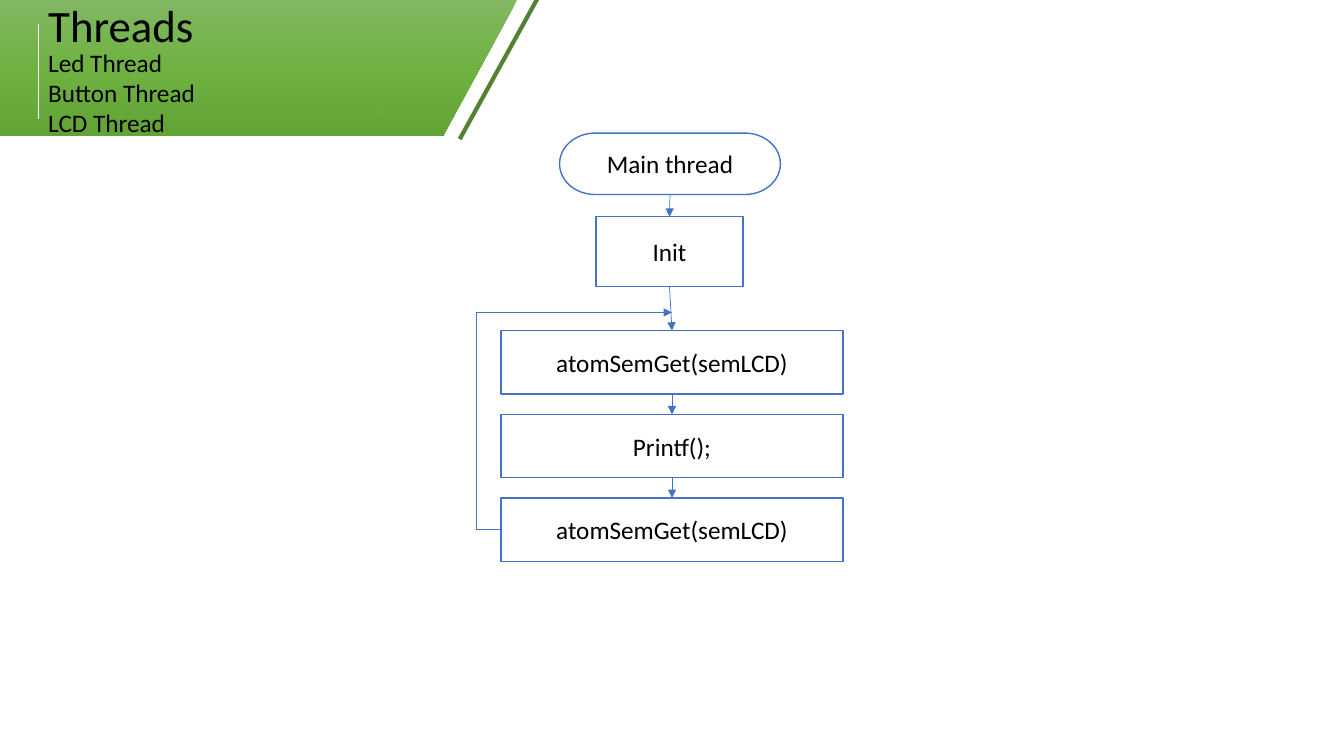
from copy import deepcopy
from dataclasses import dataclass

from pptx import Presentation
from pptx.dml.color import RGBColor
from pptx.enum.shapes import MSO_CONNECTOR, MSO_SHAPE
from pptx.enum.text import MSO_ANCHOR, PP_ALIGN
from pptx.oxml.ns import qn
from pptx.shapes.autoshape import Shape
from pptx.shapes.connector import Connector
from pptx.slide import Slide
from pptx.text.text import TextFrame
from pptx.util import Inches, Pt
from lxml import etree

RECTANGLE = MSO_SHAPE.RECTANGLE
PARALLELOGRAM = MSO_SHAPE.PARALLELOGRAM
TERMINATOR = MSO_SHAPE.FLOWCHART_TERMINATOR
STRAIGHT = MSO_CONNECTOR.STRAIGHT
ELBOW = MSO_CONNECTOR.ELBOW
CENTER = PP_ALIGN.CENTER
MIDDLE = MSO_ANCHOR.MIDDLE
TOP_SITE, BOTTOM_SITE = 0, 2

FONT = "Calibri"
BLACK, WHITE, BLUE, DARK_GREEN = "000000", "FFFFFF", "4472C4", "548235"
BANNER_STOPS = ((0, "81B861"), (0.5, "6FB242"), (1, "62A336"))
BANNER_HEIGHT = 1.35
STEP_LEFT, STEP_WIDTH, STEP_HEIGHT = 4.97, 3.39, 0.63
FIRST_STEP_TOP, STEP_PITCH = 3.28, 0.83
LOOP_TOP, LOOP_OFFSET = 3.1, 0.25


@dataclass(frozen=True)
class Box:
    left: float
    top: float
    width: float
    height: float


@dataclass(frozen=True)
class FlowNode:
    text: str
    box: Box
    kind: MSO_SHAPE = RECTANGLE


@dataclass(frozen=True)
class Label:
    text: str
    box: Box
    size: float


STEPS = ("atomSemGet(semLCD)", "Printf();", "atomSemGet(semLCD)")
FLOW = [
    FlowNode("Main thread", Box(5.55, 1.32, 2.19, 0.61), TERMINATOR),
    FlowNode("Init", Box(5.91, 2.15, 1.46, 0.69)),
] + [
    FlowNode(text, Box(STEP_LEFT, FIRST_STEP_TOP + index * STEP_PITCH, STEP_WIDTH, STEP_HEIGHT))
    for index, text in enumerate(STEPS)
]
LABELS = (
    Label("Threads", Box(0.38, -0.07, 1.82, 0.64), 32),
    Label("Led Thread\nButton Thread\nLCD Thread", Box(0.38, 0.42, 2.51, 1.01), 18),
)


def color(value: str) -> RGBColor:
    return RGBColor.from_string(value)


def add_box(slide: Slide, kind: MSO_SHAPE, box: Box) -> Shape:
    shape = slide.shapes.add_shape(
        kind, Inches(box.left), Inches(box.top), Inches(box.width), Inches(box.height)
    )
    shape.shadow.inherit = False
    return shape


def format_text(text_frame: TextFrame, size: float) -> None:
    for paragraph in text_frame.paragraphs:
        for run in paragraph.runs:
            run.font.name = FONT
            run.font.size = Pt(size)
            run.font.color.rgb = color(BLACK)


def add_banner_part(slide: Slide, kind: MSO_SHAPE, left: float, width: float) -> Shape:
    shape = add_box(slide, kind, Box(left, 0, width, BANNER_HEIGHT))
    shape.line.fill.background()
    shape.fill.gradient()
    shape.fill.gradient_angle = 270
    stop_list = shape.element.spPr.find(qn("a:gradFill")).find(qn("a:gsLst"))
    stop_list.append(deepcopy(stop_list[0]))
    for stop, (position, value) in zip(shape.fill.gradient_stops, BANNER_STOPS):
        stop.position = position
        stop.color.rgb = color(value)
    return shape


def add_label(slide: Slide, label: Label) -> None:
    box = label.box
    shape = slide.shapes.add_textbox(
        Inches(box.left), Inches(box.top), Inches(box.width), Inches(box.height)
    )
    shape.text_frame.word_wrap = True
    shape.text_frame.text = label.text
    format_text(shape.text_frame, label.size)


def add_flow_node(slide: Slide, node: FlowNode) -> Shape:
    shape = add_box(slide, node.kind, node.box)
    shape.fill.solid()
    shape.fill.fore_color.rgb = color(WHITE)
    shape.line.color.rgb = color(BLUE)
    shape.line.width = Pt(1)
    text_frame = shape.text_frame
    text_frame.text = node.text
    text_frame.vertical_anchor = MIDDLE
    text_frame.paragraphs[0].alignment = CENTER
    format_text(text_frame, 18)
    return shape


def add_line(
    slide: Slide,
    start: tuple[float, float],
    end: tuple[float, float],
    value: str = BLUE,
    width: float = 0.5,
    kind: MSO_CONNECTOR = STRAIGHT,
) -> Connector:
    connector = slide.shapes.add_connector(kind, *(Inches(length) for length in start + end))
    connector.line.color.rgb = color(value)
    connector.line.width = Pt(width)
    etree.SubElement(connector.element.spPr, qn("a:effectLst"))
    return connector


def add_arrowhead(connector: Connector) -> None:
    outline = connector.element.spPr.find(qn("a:ln"))
    etree.SubElement(outline, qn("a:tailEnd"), type="triangle")


def add_loop_back(slide: Slide) -> None:
    """Lead from the last step, round its left side, to above the first step."""
    last = FLOW[-1].box
    center = last.left + last.width / 2
    loop = add_line(
        slide, (last.left, last.top + last.height / 2), (center, LOOP_TOP), kind=ELBOW
    )
    add_arrowhead(loop)
    adjustments = loop.element.spPr.find(qn("a:prstGeom")).find(qn("a:avLst"))
    bend = round(-LOOP_OFFSET / (center - last.left) * 100000)
    etree.SubElement(adjustments, qn("a:gd"), name="adj1", fmla=f"val {bend}")


def main() -> None:
    presentation = Presentation()
    presentation.slide_width = Inches(13.33)
    presentation.slide_height = Inches(7.5)
    slide = presentation.slides.add_slide(presentation.slide_layouts[6])

    add_banner_part(slide, RECTANGLE, 0, 4.36)
    add_line(slide, (4.56, 1.38), (5.35, -0.05), DARK_GREEN, 3)
    slanted_end = add_banner_part(slide, PARALLELOGRAM, 3.61, 1.52)
    slanted_end.adjustments[0] = 0.546
    add_line(slide, (0.38, 0.24), (0.38, 1.18), WHITE)
    for label in LABELS:
        add_label(slide, label)

    shapes = [add_flow_node(slide, node) for node in FLOW]
    for upper, lower in zip(shapes, shapes[1:]):
        arrow = add_line(slide, (0, 0), (0, 0))
        arrow.begin_connect(upper, BOTTOM_SITE)
        arrow.end_connect(lower, TOP_SITE)
        add_arrowhead(arrow)
    add_loop_back(slide)

    presentation.save("out.pptx")


if __name__ == "__main__":
    main()
